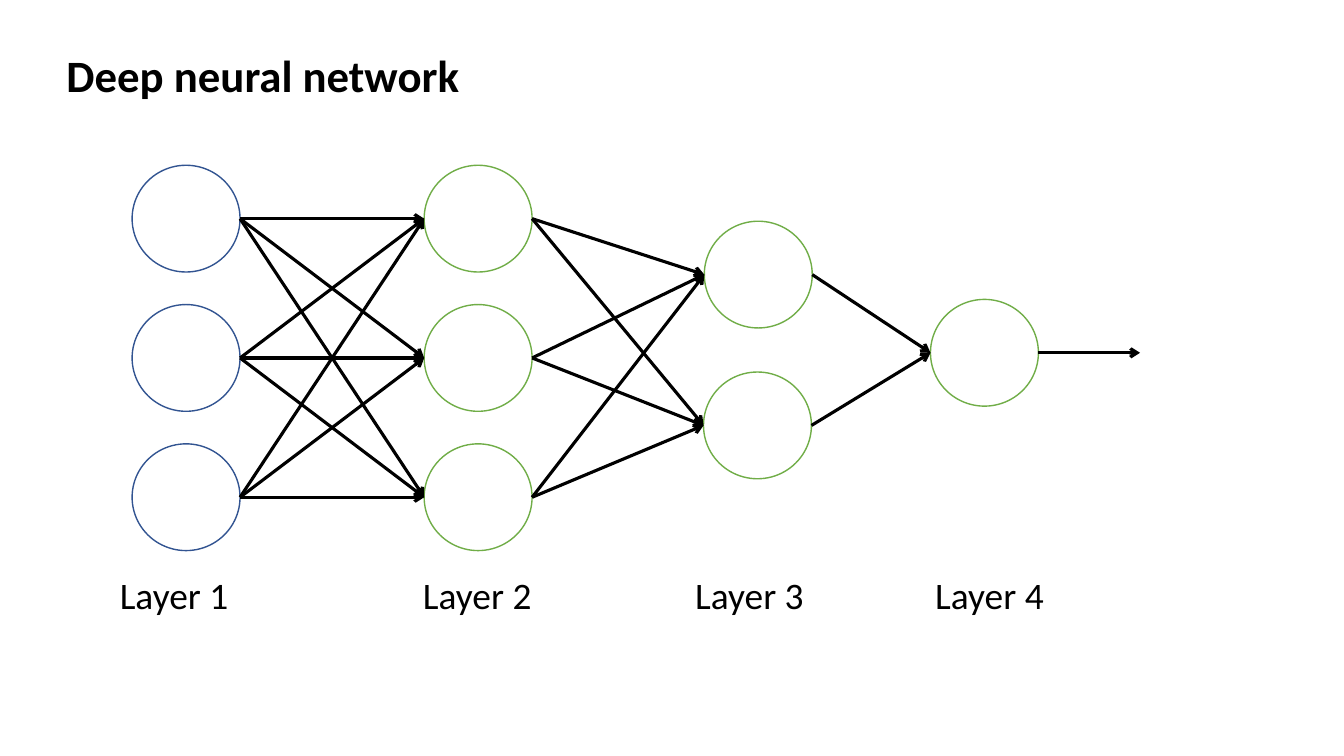
import itertools
import pptx
import pptx.util
import pptx.dml.color
import pptx.enum.shapes
import pptx.enum.text
import pptx.oxml
import pptx.oxml.ns
from pptx.util import Cm

COLORS = {"ink": "000000", "paper": "FFFFFF", "input": "325491", "hidden": "70AD47"}


class Canvas:
    font = "Calibri"
    wide, high = 2.72, 2.69

    def __init__(self, slide):
        self.slide = slide

    def color(self, name):
        return pptx.dml.color.RGBColor.from_string(COLORS[name])

    def text(self, frame, words, size, bold=False):
        para = frame.paragraphs[0]
        para.alignment = pptx.enum.text.PP_ALIGN.LEFT
        run = para.add_run()
        run.text = words
        run.font.name = self.font
        run.font.size = pptx.util.Pt(size)
        run.font.bold = bold
        run.font.color.rgb = self.color("ink")

    def title(self, words, left, top, width, height):
        shape = self.slide.shapes.title
        shape.left, shape.top = Cm(left), Cm(top)
        shape.width, shape.height = Cm(width), Cm(height)
        frame = shape.text_frame
        frame.word_wrap = True
        frame.auto_size = pptx.enum.text.MSO_AUTO_SIZE.SHAPE_TO_FIT_TEXT
        frame.vertical_anchor = pptx.enum.text.MSO_ANCHOR.TOP
        self.text(frame, words, 32, True)

    def label(self, words, left, top):
        box = self.slide.shapes.add_textbox(Cm(left), Cm(top), Cm(3.28), Cm(1.4))
        frame = box.text_frame
        frame.word_wrap = False
        frame.auto_size = pptx.enum.text.MSO_AUTO_SIZE.SHAPE_TO_FIT_TEXT
        self.text(frame, words, 26.7)

    def node(self, left, mid, tone):
        oval = self.slide.shapes.add_shape(
            pptx.enum.shapes.MSO_SHAPE.OVAL,
            Cm(left), Cm(mid - self.high / 2), Cm(self.wide), Cm(self.high))
        oval.shadow.inherit = False
        oval.fill.solid()
        oval.fill.fore_color.rgb = self.color("paper")
        oval.line.color.rgb = self.color(tone)
        oval.line.width = pptx.util.Pt(1)

    def arrow(self, start, end):
        link = self.slide.shapes.add_connector(
            pptx.enum.shapes.MSO_CONNECTOR.STRAIGHT,
            *(Cm(value) for value in (*start, *end)))
        link.line.color.rgb = self.color("ink")
        link.line.width = pptx.util.Pt(2.25)
        props = link.element.spPr
        space = pptx.oxml.ns.nsdecls("a")
        tail = pptx.oxml.parse_xml(f'<a:tailEnd {space} type="arrow"/>')
        props.get_or_add_ln().append(tail)
        props.append(pptx.oxml.parse_xml(f"<a:effectLst {space}/>"))


def main():
    deck = pptx.Presentation()
    deck.slide_width, deck.slide_height = Cm(33.87), Cm(19.05)
    canvas = Canvas(deck.slides.add_slide(deck.slide_layouts[5]))
    canvas.title("Deep neural network", 1.42, 1.07, 23.7, 1.63)

    rows = [5.51 + 3.51 * row for row in range(3)]
    layers = [
        ("input", 2.77, [(3.33, mid) for mid in rows]),
        ("hidden", 10.41, [(10.69, mid) for mid in rows]),
        ("hidden", 17.27, [(17.75, 6.92), (17.73, 10.72)]),
        ("hidden", 23.32, [(23.45, 8.89)]),
    ]
    for number, (tone, left, nodes) in enumerate(layers, 1):
        for spot in nodes:
            canvas.node(*spot, tone)
        canvas.label(f"Layer {number}", left, 14.3)

    stages = [nodes for tone, left, nodes in layers] + [[(28.73, 8.89)]]
    for before, after in itertools.pairwise(stages):
        for (left, mid), end in itertools.product(before, after):
            canvas.arrow((left + canvas.wide, mid), end)

    deck.save("out.pptx")


if __name__ == "__main__":
    main()
